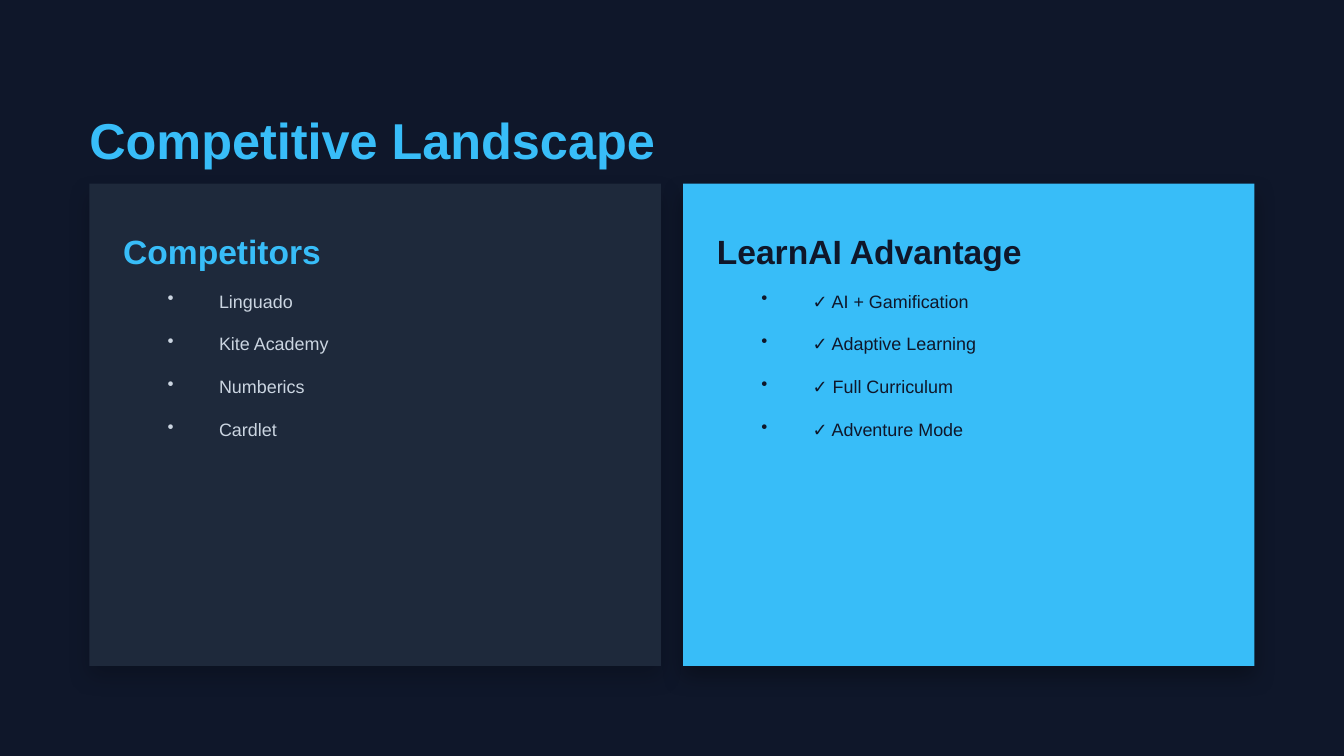
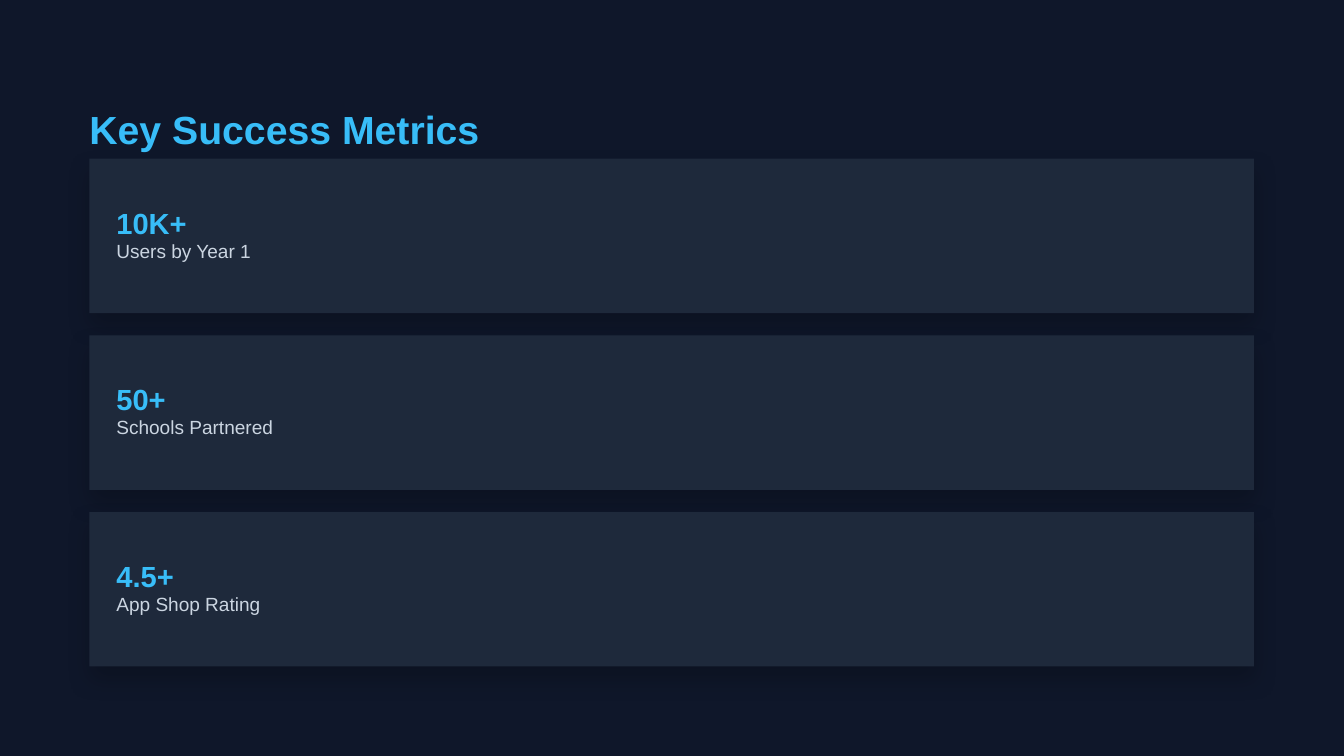
from dataclasses import dataclass

import pptx
import pptx.dml.color
import pptx.enum.shapes
import pptx.oxml.ns
import pptx.slide
import pptx.util
from lxml import etree

Cm = pptx.util.Cm
Pt = pptx.util.Pt

NAVY = "0F172A"
SLATE = "1E293B"
SKY = "38BDF8"
MIST = "CBD5E1"
FONT = "Arial"
MARGIN = 1.69
TITLE_WIDTH = 22.45
BULLET_INDENT = 0.97


@dataclass(frozen=True)
class Column:
    heading: str
    points: tuple[str, ...]
    fill: str
    heading_color: str
    point_color: str
    shadow_opacity: int


@dataclass(frozen=True)
class Metric:
    value: str
    label: str


COLUMNS = (
    Column("Competitors", ("Linguado", "Kite Academy", "Numberics", "Cardlet"),
           SLATE, SKY, MIST, 20),
    Column("LearnAI Advantage",
           ("✓ AI + Gamification", "✓ Adaptive Learning",
            "✓ Full Curriculum", "✓ Adventure Mode"),
           SKY, NAVY, NAVY, 30),
)
METRICS = (
    Metric("10K+", "Users by Year 1"),
    Metric("50+", "Schools Partnered"),
    Metric("4.5+", "App Shop Rating"),
)


def rgb(color: str) -> pptx.dml.color.RGBColor:
    return pptx.dml.color.RGBColor.from_string(color)


def add_slide(deck) -> pptx.slide.Slide:
    slide = deck.slides.add_slide(deck.slide_layouts[6])
    slide.background.fill.solid()
    slide.background.fill.fore_color.rgb = rgb(NAVY)
    return slide


def add_text(slide: pptx.slide.Slide, text: str, left: float, top: float,
             width: float, height: float, *, size: float, line: float,
             color: str, bold: bool = False, bullet: str = "") -> None:
    frame = slide.shapes.add_textbox(
        Cm(left), Cm(top), Cm(width), Cm(height)).text_frame
    frame.word_wrap = True
    frame.margin_left = frame.margin_right = 0
    frame.margin_top = frame.margin_bottom = 0
    frame.text = text
    for paragraph in frame.paragraphs:
        paragraph.line_spacing = Pt(line)
        for run in paragraph.runs:
            run.font.name = FONT
            run.font.size = Pt(size)
            run.font.bold = bold
            run.font.color.rgb = rgb(color)
        if bullet:
            properties = paragraph._p.get_or_add_pPr()
            properties.set("marL", str(Cm(BULLET_INDENT)))
            properties.set("indent", str(-Cm(BULLET_INDENT)))
            etree.SubElement(properties, pptx.oxml.ns.qn("a:buChar"), char=bullet)


def add_title(slide: pptx.slide.Slide, text: str, size: float) -> None:
    add_text(slide, text, MARGIN, MARGIN, TITLE_WIDTH, size * 0.042,
             size=size, line=size * 1.6, color=SKY, bold=True)


def add_card(slide: pptx.slide.Slide, left: float, top: float, width: float,
             height: float, fill: str, shadow_opacity: int) -> None:
    card = slide.shapes.add_shape(
        pptx.enum.shapes.MSO_SHAPE.RECTANGLE,
        Cm(left), Cm(top), Cm(width), Cm(height))
    card.fill.solid()
    card.fill.fore_color.rgb = rgb(fill)
    card.line.fill.background()
    card.shadow.inherit = False
    qn = pptx.oxml.ns.qn
    effects = card._element.spPr.find(qn("a:effectLst"))
    shadow = etree.SubElement(
        effects, qn("a:outerShdw"), blurRad=str(Pt(12)), dist=str(Pt(6)),
        dir=str(90 * 60000), algn="bl", rotWithShape="0")
    tint = etree.SubElement(shadow, qn("a:srgbClr"), val="000000")
    etree.SubElement(tint, qn("a:alpha"), val=str(shadow_opacity * 1000))


def build_landscape(deck) -> None:
    slide = add_slide(deck)
    top, width, height, pitch = 3.47, 10.8, 9.12, 11.22
    lefts = [MARGIN + index * pitch for index in range(len(COLUMNS))]
    for left, column in zip(lefts, COLUMNS):
        add_card(slide, left, top, width, height, column.fill, column.shadow_opacity)
    add_title(slide, "Competitive Landscape", 27)
    for left, column in zip(lefts, COLUMNS):
        add_text(slide, column.heading, left + 0.64, top + 0.64, 9.73, 0.76,
                 size=18, line=28.8, color=column.heading_color, bold=True)
        add_text(slide, "\n".join(column.points), left + 1.48, top + 1.61, 8.69, 3.4,
                 size=9.6, line=23, color=column.point_color, bullet="•")


def build_metrics(deck) -> None:
    slide = add_slide(deck)
    first_top, width, height, pitch = 3, 22.01, 2.92, 3.34
    tops = [first_top + index * pitch for index in range(len(METRICS))]
    for top in tops:
        add_card(slide, MARGIN, top, width, height, SLATE, 20)
    add_title(slide, "Key Success Metrics", 21)
    left = MARGIN + 0.51
    for top, metric in zip(tops, METRICS):
        add_text(slide, metric.value, left, top + 0.51, 21.41, 0.76,
                 size=15.6, line=29.1, color=SKY, bold=True)
        add_text(slide, metric.label, left, top + 1.28, 21.41, 0.51,
                 size=10.2, line=19, color=MIST)


def main() -> None:
    deck = pptx.Presentation()
    deck.slide_width = Cm(25.4)
    deck.slide_height = Cm(14.29)
    build_landscape(deck)
    build_metrics(deck)
    deck.save("out.pptx")


if __name__ == "__main__":
    main()
